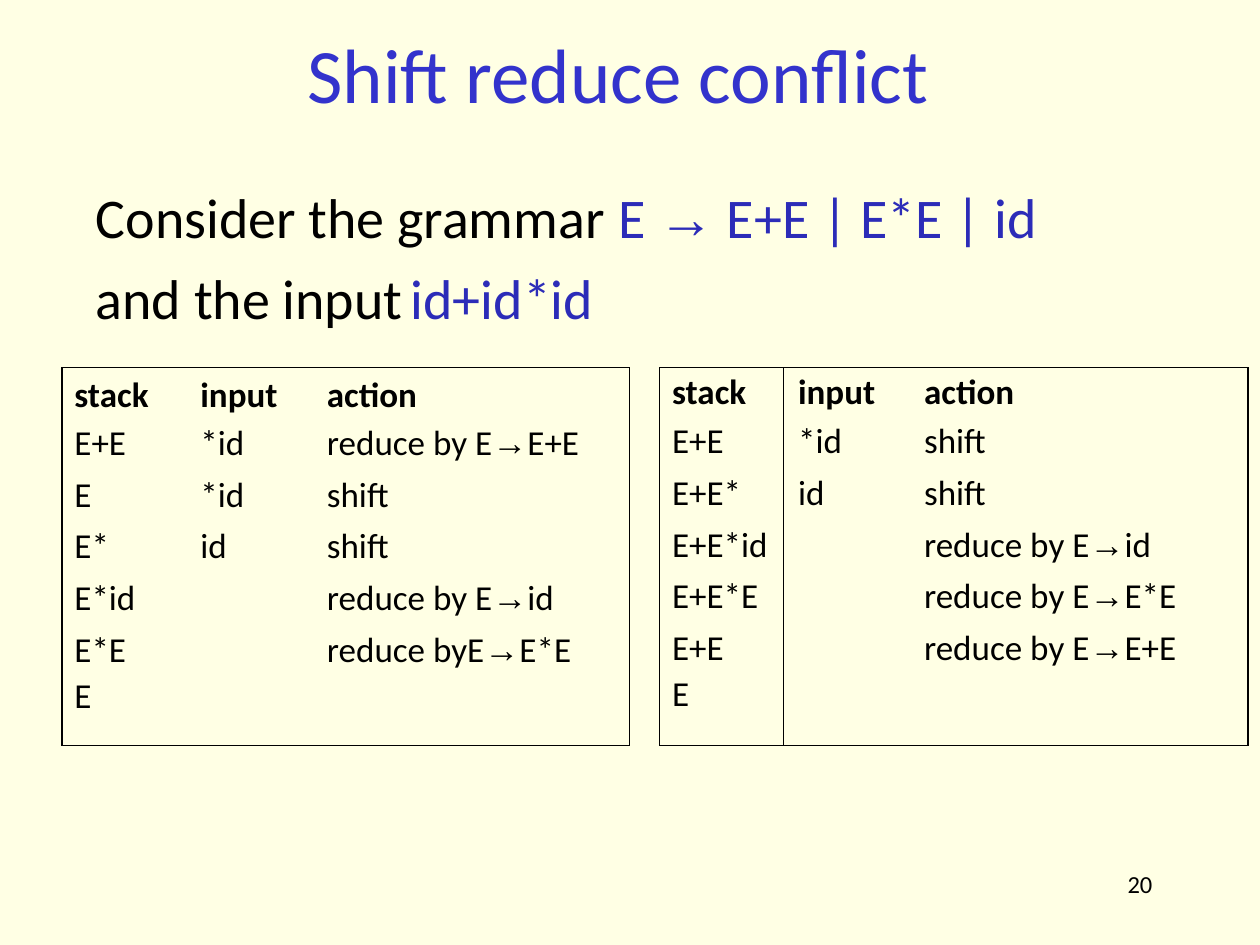
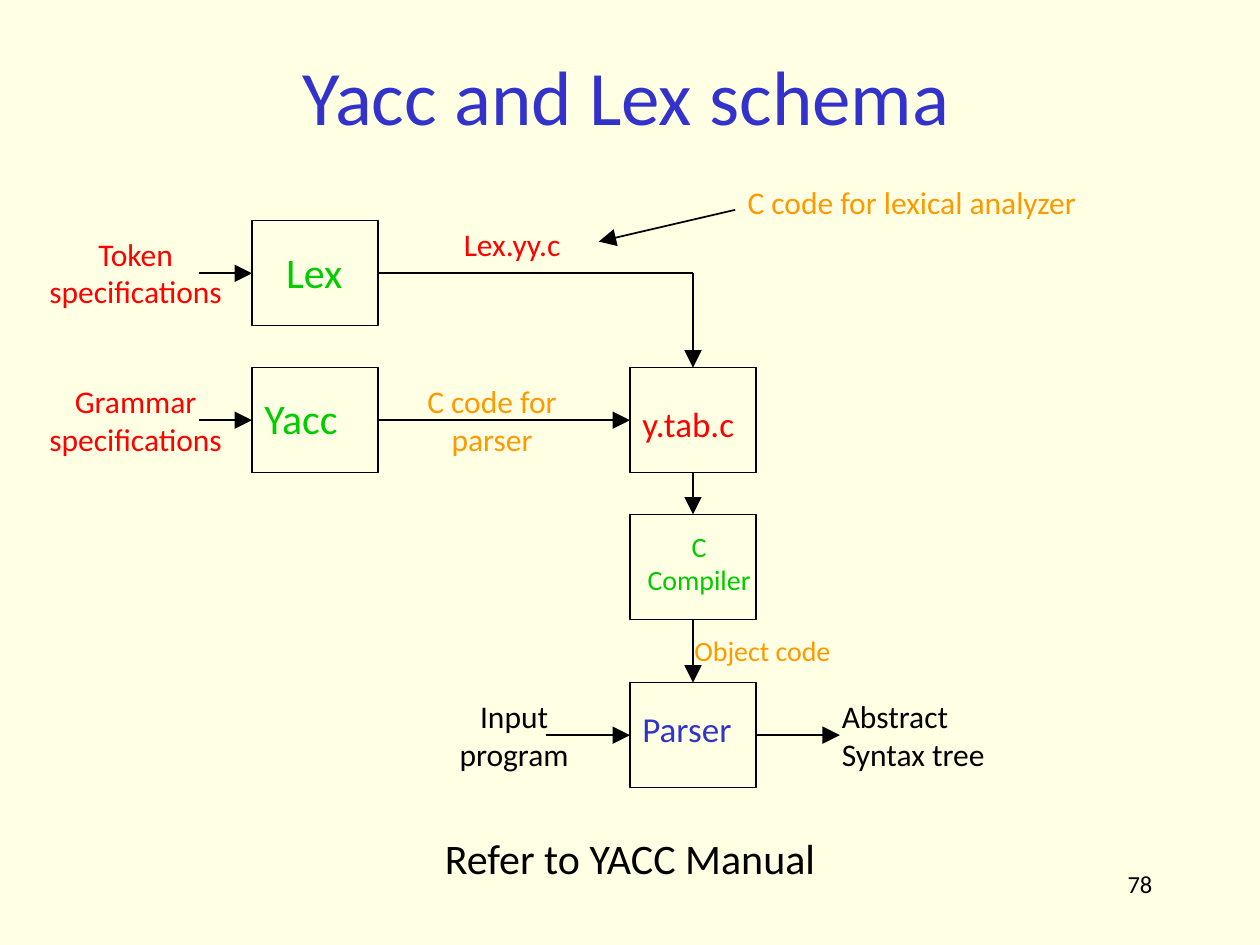
from dataclasses import dataclass
from itertools import groupby, pairwise
from typing import Any, NamedTuple, Union

import lxml.etree
import pptx
import pptx.dml.color
import pptx.enum.shapes
import pptx.enum.text
import pptx.oxml.ns
import pptx.util

Cm = pptx.util.Cm
Pt = pptx.util.Pt
LEFT = pptx.enum.text.PP_ALIGN.LEFT
CENTER = pptx.enum.text.PP_ALIGN.CENTER
TOP, WEST, BOTTOM, EAST = range(4)


@dataclass(frozen=True)
class Theme:
    font: str = "Calibri"
    arrow_font: str = "Arial"
    background: str = "FFFFE4"
    title: str = "3333CC"
    grammar: str = "2C2CB8"
    ink: str = "000000"
    tool: str = "00CC00"
    file: str = "FF0000"
    note: str = "FF9900"
    title_size: float = 44
    body_size: float = 32
    large: float = 24
    medium: float = 20
    normal: float = 18
    small: float = 16
    number_size: float = 14
    border: float = 0.75
    arrow: float = 1


THEME = Theme()


class Style(NamedTuple):
    size: float
    color: str
    bold: bool = False


class Area(NamedTuple):
    left: float
    top: float
    width: float
    height: float

    def lengths(self) -> list[int]:
        return [Cm(value) for value in self]


class Label(NamedTuple):
    text: str
    area: Area
    style: Style
    alignment: Any = LEFT


class Box(NamedTuple):
    text: str
    left: float
    top: float
    style: Style
    left_inset: float = 0.25
    top_inset: float = 0.51
    alignment: Any = LEFT


class Side(NamedTuple):
    box: str
    site: int


class Point(NamedTuple):
    x: float
    y: float


class Link(NamedTuple):
    start: Union[Side, Point]
    end: Union[Side, Point]
    arrowhead: bool = True


class Trace(NamedTuple):
    first_column: int
    header_inset: float
    leading: float
    indents: tuple[float, float, float]
    rows: tuple[tuple[str, str, str], ...]


def add_element(parent: Any, tag: str, **attributes: str) -> Any:
    return lxml.etree.SubElement(parent, pptx.oxml.ns.qn(tag), attributes)


def rgb(color: str) -> pptx.dml.color.RGBColor:
    return pptx.dml.color.RGBColor.from_string(color)


def write(paragraph: Any, text: str, style: Style) -> None:
    for is_arrow, letters in groupby(text, key=lambda letter: letter == "→"):
        run = paragraph.add_run()
        run.text = "".join(letters)
        run.font.name = THEME.arrow_font if is_arrow else THEME.font
        run.font.size = Pt(style.size)
        run.font.bold = style.bold
        run.font.color.rgb = rgb(style.color)


def fill_frame(frame: Any, text: str, style: Style, alignment: Any = LEFT,
               left_inset: float = 0.03, top_inset: float = 0.03) -> None:
    frame.word_wrap = True
    frame.auto_size = pptx.enum.text.MSO_AUTO_SIZE.NONE
    frame.vertical_anchor = pptx.enum.text.MSO_ANCHOR.TOP
    frame.margin_left, frame.margin_top = Cm(left_inset), Cm(top_inset)
    frame.margin_right = frame.margin_bottom = 0
    for index, line in enumerate(text.split("\n")):
        paragraph = frame.add_paragraph() if index else frame.paragraphs[0]
        paragraph.alignment = alignment
        write(paragraph, line, style)


def place(shape: Any, area: Area) -> None:
    shape.left, shape.top, shape.width, shape.height = area.lengths()


def add_label(slide: Any, label: Label) -> None:
    shape = slide.shapes.add_textbox(*label.area.lengths())
    fill_frame(shape.text_frame, label.text, label.style, label.alignment)


def add_slide(presentation: Any, layout: int, title: str, area: Area,
              number: str, title_inset: float = 0.03) -> Any:
    slide = presentation.slides.add_slide(presentation.slide_layouts[layout])
    place(slide.shapes.title, area)
    fill_frame(slide.shapes.title.text_frame, title,
               Style(THEME.title_size, THEME.title), left_inset=title_inset)
    add_label(slide, Label(number, Area(22.7, 17.48, 0.8, 0.6),
                           Style(THEME.number_size, THEME.ink)))
    return slide


def add_box(slide: Any, box: Box) -> Any:
    shape = slide.shapes.add_shape(pptx.enum.shapes.MSO_SHAPE.RECTANGLE,
                                   *Area(box.left, box.top, 2.54, 2.12).lengths())
    shape.shadow.inherit = False
    shape.fill.background()
    shape.line.color.rgb = rgb(THEME.ink)
    shape.line.width = Pt(THEME.border)
    fill_frame(shape.text_frame, box.text, box.style, box.alignment,
               box.left_inset, box.top_inset)
    return shape


def add_link(slide: Any, link: Link, boxes: dict[str, Any]) -> None:
    connector = slide.shapes.add_connector(
        pptx.enum.shapes.MSO_CONNECTOR.STRAIGHT, 0, 0, 0, 0)
    if isinstance(link.start, Side):
        connector.begin_connect(boxes[link.start.box], link.start.site)
    else:
        connector.begin_x, connector.begin_y = Cm(link.start.x), Cm(link.start.y)
    if isinstance(link.end, Side):
        connector.end_connect(boxes[link.end.box], link.end.site)
    else:
        connector.end_x, connector.end_y = Cm(link.end.x), Cm(link.end.y)
    connector.line.color.rgb = rgb(THEME.ink)
    connector.line.width = Pt(THEME.arrow)
    if link.arrowhead:
        add_element(connector.line._get_or_add_ln(), "a:tailEnd",
                    type="triangle", w="lg", len="lg")
    add_element(connector._element.spPr, "a:effectLst")


def set_border(cell: Any, sides: dict[str, bool]) -> None:
    properties = cell._tc.get_or_add_tcPr()
    for side, visible in sides.items():
        line = add_element(properties, f"a:ln{side}", w=str(Pt(THEME.border)))
        if visible:
            add_element(add_element(line, "a:solidFill"), "a:srgbClr", val=THEME.ink)
        else:
            add_element(line, "a:noFill")


def add_traces(slide: Any, traces: list[Trace]) -> None:
    widths = (2.29, 2.57, 6.58, 0.43, 2.49, 2.36, 7.01)
    heights = (1.12, 1.04, 4.06, 1.4)
    vertical_lines, gap = {0, 3, 4, 5, 7}, 3
    area = Area(1.25, 7.41, sum(widths), sum(heights))
    table = slide.shapes.add_table(len(heights), len(widths), *area.lengths()).table
    table.first_row = table.horz_banding = False
    for column, width in zip(table.columns, widths):
        column.width = Cm(width)
    for row, height in zip(table.rows, heights):
        row.height = Cm(height)
    for row in range(len(heights)):
        for column in range(len(widths)):
            cell = table.cell(row, column)
            set_border(cell, {"L": column in vertical_lines,
                              "R": column + 1 in vertical_lines,
                              "T": row == 0 and column != gap,
                              "B": row == len(heights) - 1 and column != gap})
            cell.fill.background()
    for trace in traces:
        for row, texts in enumerate(trace.rows):
            for offset, (text, indent) in enumerate(zip(texts, trace.indents)):
                if text:
                    cell = table.cell(row, trace.first_column + offset)
                    fill_trace_cell(cell, text, indent, trace, row == 0)


def fill_trace_cell(cell: Any, text: str, indent: float, trace: Trace,
                    header: bool) -> None:
    cell.margin_left, cell.margin_right, cell.margin_bottom = Cm(indent), 0, 0
    cell.margin_top = Cm(trace.header_inset) if header else 0
    for index, line in enumerate(text.split("\n")):
        paragraph = cell.text_frame.add_paragraph() if index else cell.text_frame.paragraphs[0]
        if index:
            paragraph.space_before = Pt(5)
        elif not header:
            paragraph.line_spacing = Pt(trace.leading)
        write(paragraph, line, Style(THEME.medium, THEME.ink, header))


def build_conflict_slide(presentation: Any) -> None:
    slide = add_slide(presentation, 1, "Shift reduce conflict",
                      Area(3.66, 0.51, 18.11, 1.93), "20", title_inset=2.54)
    body = slide.placeholders[1]
    place(body, Area(1.9, 3.38, 19.5, 3.3))
    fill_frame(body.text_frame, "Consider the grammar \nand the input\t",
               Style(THEME.body_size, THEME.ink))
    for paragraph, formula in zip(body.text_frame.paragraphs,
                                  ("E → E+E | E*E | id", "id+id*id")):
        write(paragraph, formula, Style(THEME.body_size, THEME.grammar))
        paragraph.line_spacing = 1.2
        paragraph.space_before = Pt(0)
        properties = paragraph._p.get_or_add_pPr()
        properties.set("marL", "0")
        properties.set("indent", "0")
        add_element(properties, "a:buNone")
        add_element(add_element(properties, "a:tabLst"), "a:tab",
                    pos=str(Cm(10.6)), algn="l")
    header = ("stack", "input", "action")
    add_traces(slide, [
        Trace(0, 0.13, 24, (0.25, 0.5, 0.48), (
            header,
            ("E+E", "*id", "reduce by E→E+E"),
            ("E\nE*\nE*id\nE*E", "*id\nid", "shift\nshift\nreduce by E→id\nreduce byE→E*E"),
            ("E", "", ""))),
        Trace(4, 0.08, 23, (0.25, 0.3, 0.48), (
            header,
            ("E+E", "*id", "shift"),
            ("E+E*\nE+E*id\nE+E*E\nE+E", "id",
             "shift\nreduce by E→id\nreduce by E→E*E\nreduce by E→E+E"),
            ("E", "", ""))),
    ])


def build_schema_slide(presentation: Any) -> None:
    slide = add_slide(presentation, 5, "Yacc and Lex schema",
                      Area(6.07, 0.94, 13.5, 1.93), "78")
    tool, product = Style(THEME.large, THEME.tool), Style(THEME.medium, THEME.file)
    generators, outputs = 5.08, 12.7
    boxes = {
        "Lex": Box("Lex", generators, 4.45, tool, left_inset=0.69),
        "Yacc": Box("Yacc", generators, 7.41, tool),
        "Code": Box("y.tab.c", outputs, 7.41, product, top_inset=0.71),
        "Compiler": Box("C\nCompiler", outputs, 10.37, Style(THEME.small, THEME.tool),
                        top_inset=0.3, alignment=CENTER),
        "Parser": Box("Parser", outputs, 13.76, Style(THEME.medium, THEME.title)),
    }
    shapes = {name: add_box(slide, box) for name, box in boxes.items()}
    corner = Point(13.97, 5.51)
    links = [
        Link(Point(4.02, 5.51), Side("Lex", WEST)),
        Link(Point(4.02, 8.47), Side("Yacc", WEST)),
        Link(Side("Lex", EAST), corner, arrowhead=False),
        Link(corner, Side("Code", TOP)),
        Link(Side("Yacc", EAST), Side("Code", WEST)),
        Link(Point(11, 14.82), Side("Parser", WEST)),
        Link(Side("Parser", EAST), Point(16.93, 14.82)),
        Link(Point(14.82, 4.23), Point(12.07, 4.87)),
    ]
    links += [Link(Side(upper, BOTTOM), Side(lower, TOP))
              for upper, lower in pairwise(("Code", "Compiler", "Parser"))]
    for link in links:
        add_link(slide, link, shapes)
    file, note, plain = (Style(THEME.normal, color)
                         for color in (THEME.file, THEME.note, THEME.ink))
    for label in (
        Label("Token\nspecifications", Area(0.94, 4.7, 3.56, 1.6), file, CENTER),
        Label("Grammar\nspecifications", Area(0.94, 7.67, 3.56, 1.6), file, CENTER),
        Label("Lex.yy.c", Area(9.32, 4.5, 2.1, 0.84), file),
        Label("C code for\nparser", Area(8.53, 7.67, 2.75, 1.6), note, CENTER),
        Label("Object code", Area(13.97, 12.75, 2.9, 0.74), Style(THEME.small, THEME.note)),
        Label("Input program", Area(9.2, 14.02, 2.3, 1.6), plain, CENTER),
        Label("Abstract Syntax tree", Area(16.94, 14.02, 3, 1.6), plain),
        Label("C code for lexical analyzer", Area(15.04, 3.66, 6.85, 0.84), note),
        Label("Refer to YACC Manual", Area(8.94, 16.76, 7.7, 1.09),
              Style(THEME.large, THEME.ink)),
    ):
        add_label(slide, label)


def main() -> None:
    presentation = pptx.Presentation()
    presentation.slide_width, presentation.slide_height = Cm(25.4), Cm(19.05)
    background = presentation.slide_master.background.fill
    background.solid()
    background.fore_color.rgb = rgb(THEME.background)
    build_conflict_slide(presentation)
    build_schema_slide(presentation)
    presentation.save("out.pptx")


if __name__ == "__main__":
    main()
